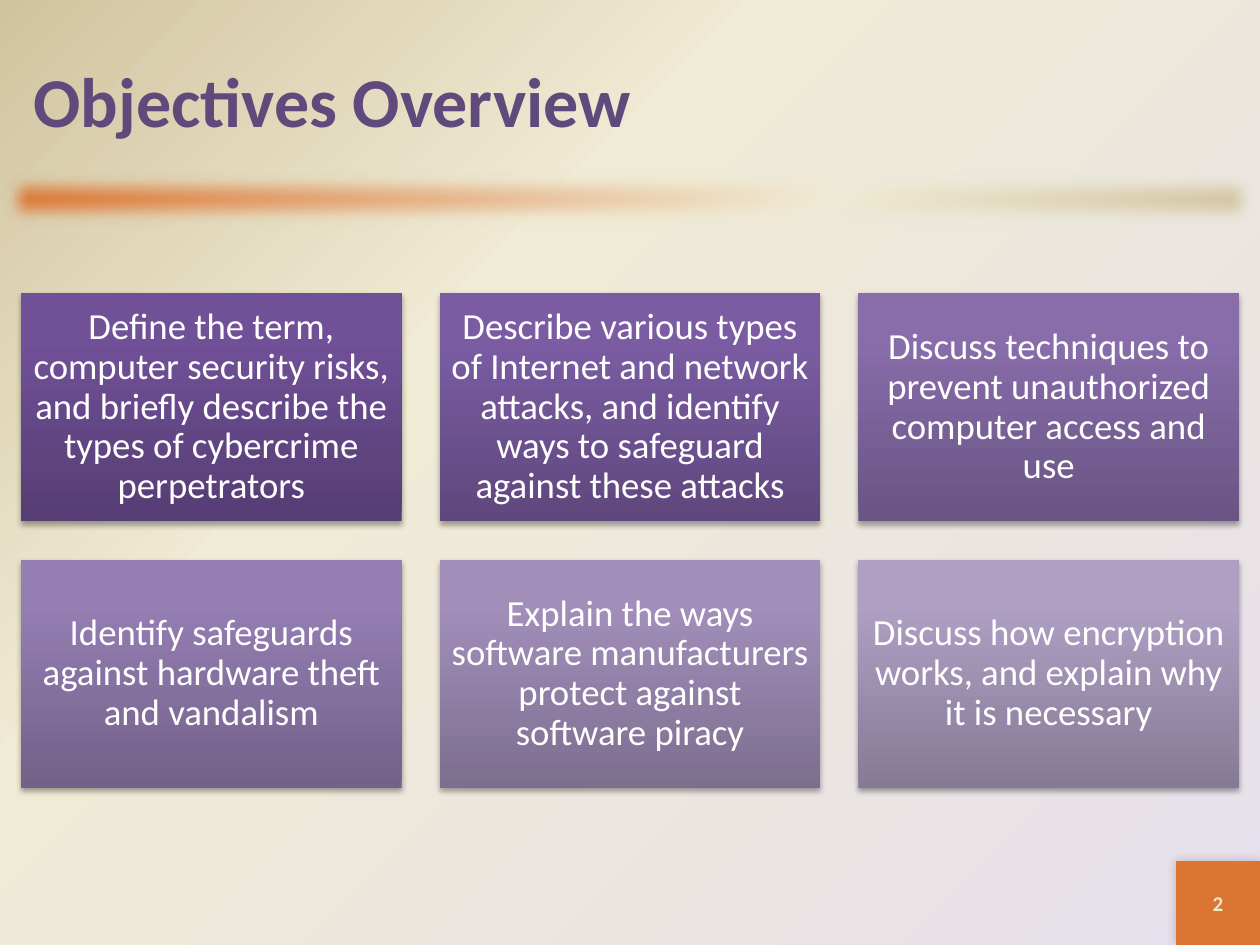
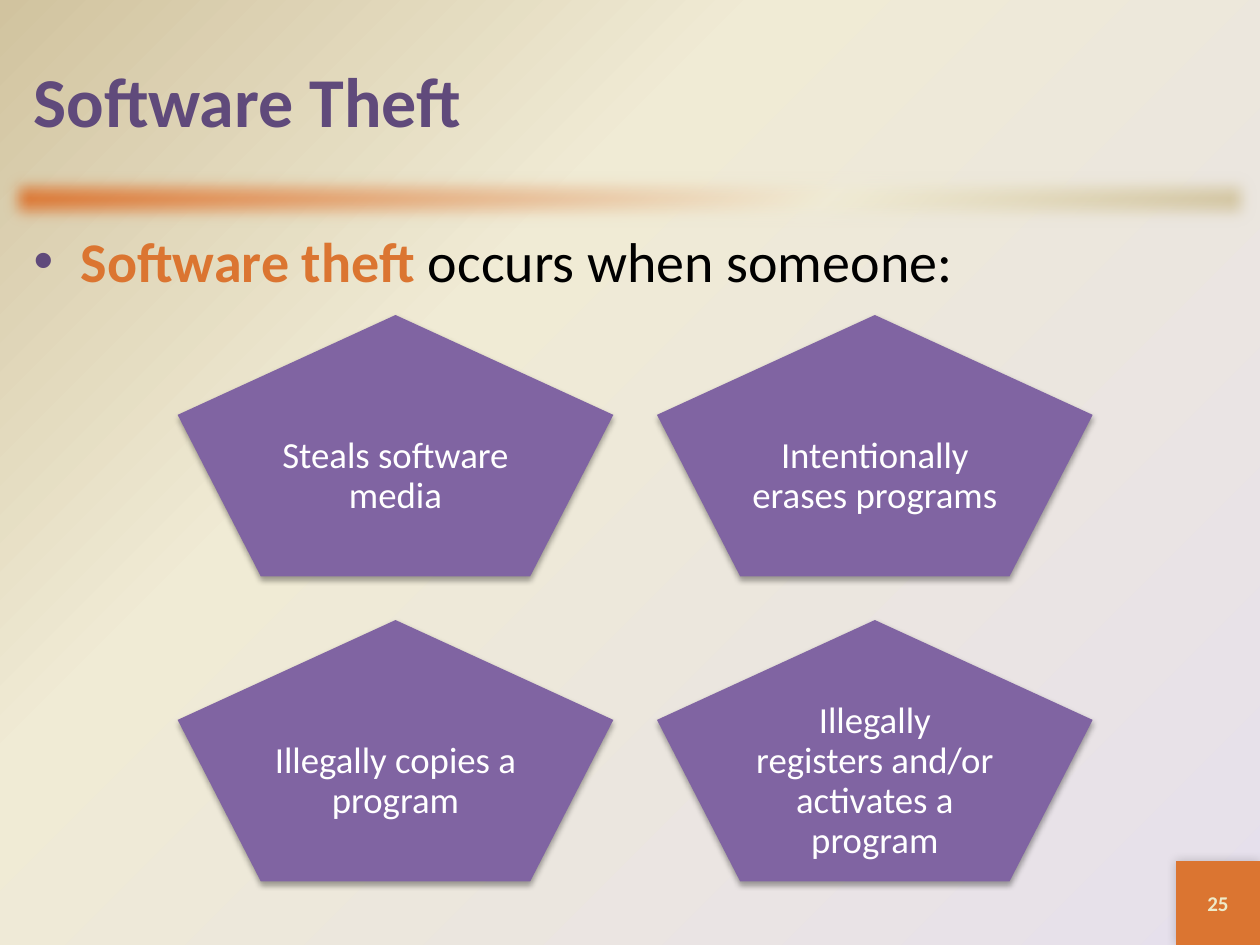
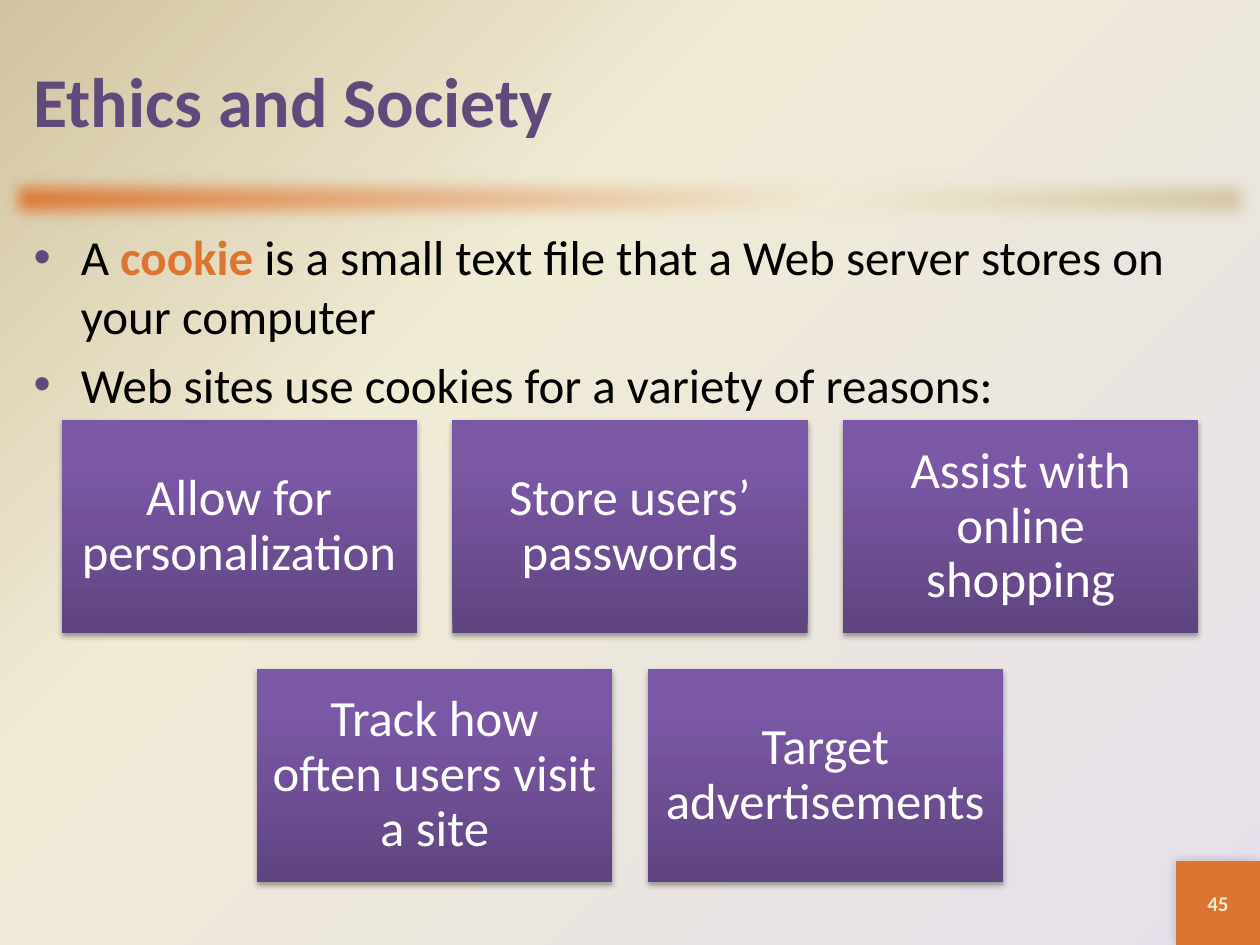
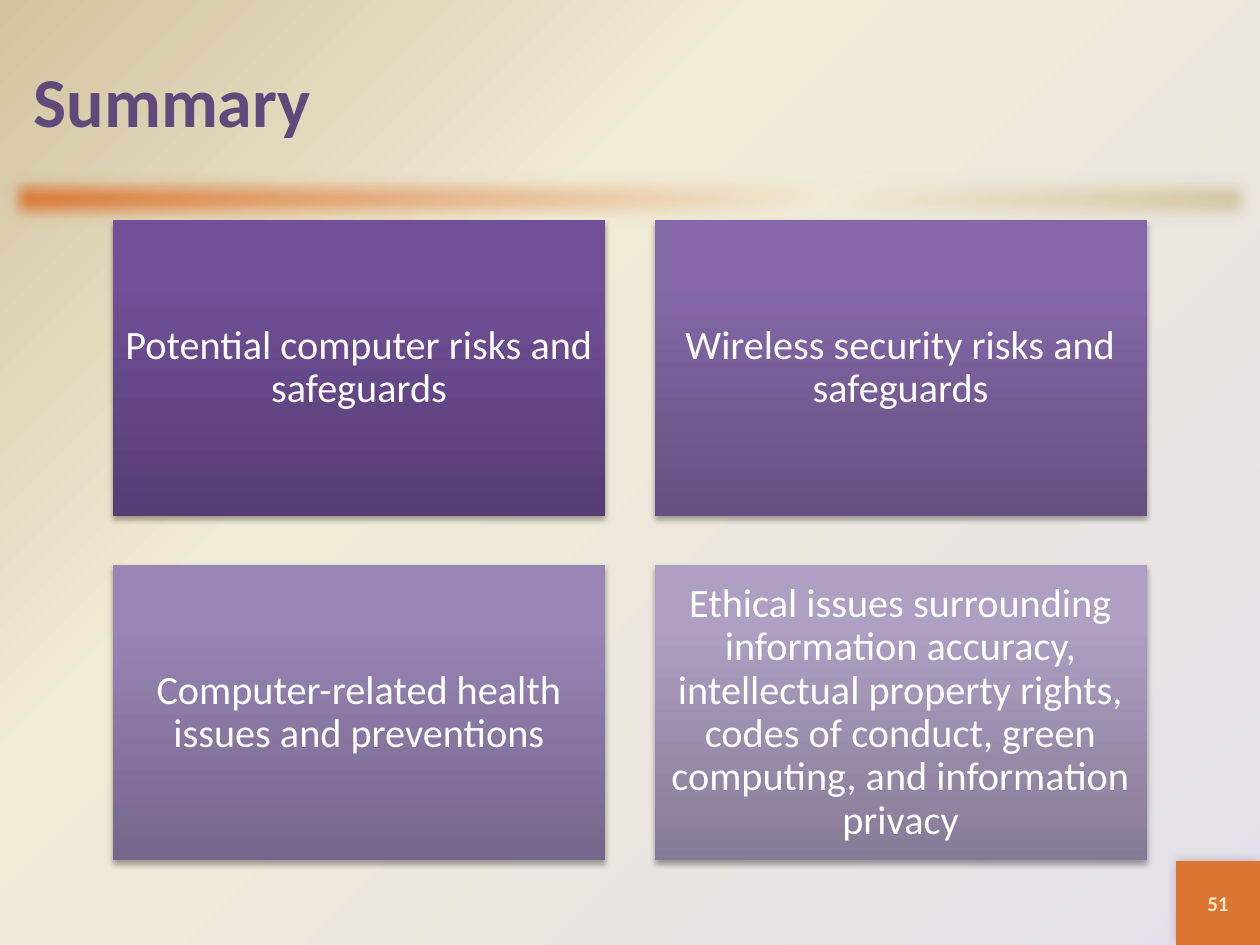
"""Build four slides on computer security from shared master parts and card grids."""

import lxml.etree
import pptx
import pptx.dml.color
import pptx.enum.shapes
import pptx.enum.text
import pptx.oxml.ns
import pptx.util

Pt = pptx.util.Pt
RGBColor = pptx.dml.color.RGBColor
MSO_SHAPE = pptx.enum.shapes.MSO_SHAPE
PP_ALIGN = pptx.enum.text.PP_ALIGN
MSO_ANCHOR = pptx.enum.text.MSO_ANCHOR
qn = pptx.oxml.ns.qn

FONT = "Calibri"
PURPLE = RGBColor(0x60, 0x4A, 0x7B)
VIOLET = RGBColor(0x80, 0x64, 0xA2)
ORANGE = RGBColor(0xDB, 0x75, 0x31)
CREAM = RGBColor(0xF0, 0xEB, 0xD5)
SAND = RGBColor(0xD1, 0xC3, 0x9F)
LAVENDER = RGBColor(0xE6, 0xE0, 0xEC)
PALE_YELLOW = RGBColor(0xEE, 0xEB, 0xCA)
WHITE = RGBColor(0xFF, 0xFF, 0xFF)
BLACK = RGBColor(0x00, 0x00, 0x00)


def tint(*stops):
    """Return the bottom, upper and top colours of a card."""
    return [RGBColor.from_string(stop) for stop in stops]


DARKEST = tint("563D74", "705097", "704F99")
LIGHTEST = tint("867B96", "AE9FC3", "AE9FC4")
OBJECTIVE_TINTS = [
    DARKEST,
    tint("5F477D", "7B5CA3", "7C5BA5"),
    tint("695483", "886DAA", "886DAC"),
    tint("726189", "947EB2", "957EB4"),
    tint("7C6E8F", "A18FBA", "A18FBC"),
    LIGHTEST,
]
COOKIE_TINT = tint("5F4480", "7B58A6", "7C57A8")
SUMMARY_TINTS = [
    DARKEST,
    tint("655081", "8468A8", "8467AA"),
    tint("75668B", "9884B5", "9984B7"),
    LIGHTEST,
]

SLIDE_WIDTH, SLIDE_HEIGHT = 720, 540
MARGIN = 12
NUMBER_SIDE = 48
CORNER = (SLIDE_WIDTH - NUMBER_SIDE, SLIDE_HEIGHT - NUMBER_SIDE, NUMBER_SIDE, NUMBER_SIDE)


def add_xml(parent, tag, **attributes):
    """Append a DrawingML child element."""
    values = {name: str(value) for name, value in attributes.items()}
    return lxml.etree.SubElement(parent, qn(f"a:{tag}"), values)


def add_color(parent, color):
    """Append an RGB colour element."""
    return add_xml(parent, "srgbClr", val=color)


def set_gradient(fill, owner, colors, middle, angle=None):
    """Give a fill three stops, linear at an angle or circling the lower right corner."""
    fill.gradient()
    gradient = owner.find(f".//{qn('a:gradFill')}")
    gradient.clear()
    gradient.set("rotWithShape", "1")
    stops = add_xml(gradient, "gsLst")
    for position, color in zip((0, middle, 100), colors):
        add_color(add_xml(stops, "gs", pos=position * 1000), color)
    if angle is None:
        circle = add_xml(gradient, "path", path="circle")
        add_xml(circle, "fillToRect", l=100000, t=100000)
        add_xml(gradient, "tileRect", r=-100000, b=-100000)
    else:
        add_xml(gradient, "lin", ang=angle * 60000, scaled=0)


def effects_of(shape):
    """Return the emptied effect list of a shape."""
    shape.shadow.inherit = False
    return shape.element.spPr.find(qn("a:effectLst"))


def add_shadow(shape, blur, distance, angle, opacity):
    """Give a shape a soft black shadow."""
    shadow = add_xml(effects_of(shape), "outerShdw", blurRad=Pt(blur), dist=Pt(distance),
                     dir=angle * 60000, algn="ctr", rotWithShape=0)
    add_xml(add_color(shadow, BLACK), "alpha", val=opacity * 1000)


def set_font(paragraph, size, color, bold=False):
    """Format all the text of a paragraph."""
    paragraph.font.name = FONT
    paragraph.font.size = Pt(size)
    paragraph.font.bold = bold
    paragraph.font.color.rgb = color


def place(shape, left, top, width, height):
    """Move and size a shape in points."""
    shape.left, shape.top, shape.width, shape.height = map(Pt, (left, top, width, height))


def add_outline(slide, kind, *box):
    """Add a preset shape without a line."""
    shape = slide.shapes.add_shape(kind, *map(Pt, box))
    shape.line.fill.background()
    return shape


def decorate_master(master, slide):
    """Set the background and move the title band and number square to the master."""
    set_gradient(master.background.fill, master.element, (LAVENDER, CREAM, SAND), 65)

    band = add_outline(slide, MSO_SHAPE.RECTANGLE, 0, 96, SLIDE_WIDTH, 36)
    set_gradient(band.fill, band.element, (ORANGE, CREAM, SAND), 65, 45)
    add_xml(effects_of(band), "softEdge", rad=Pt(10))

    square = add_outline(slide, MSO_SHAPE.RECTANGLE, *CORNER)
    square.fill.solid()
    square.fill.fore_color.rgb = ORANGE
    add_shadow(square, 6, 0, 225, 20)

    for position, part in enumerate((band, square)):
        part.element.nvSpPr.cNvPr.set("id", str(20 + position))
        master.shapes.element.insert(2 + position, part.element)


def add_slide(deck, title, number, with_body=False):
    """Add a slide with its title and slide number."""
    slide = deck.slides.add_slide(deck.slide_layouts[1 if with_body else 5])
    heading = slide.shapes.title
    place(heading, MARGIN, MARGIN, SLIDE_WIDTH - 2 * MARGIN, 90)
    heading.text_frame.text = title
    heading.text_frame.vertical_anchor = MSO_ANCHOR.MIDDLE
    paragraph = heading.text_frame.paragraphs[0]
    paragraph.alignment = PP_ALIGN.LEFT
    set_font(paragraph, 40, PURPLE, True)

    page = slide.shapes.add_textbox(*map(Pt, CORNER)).text_frame
    page.word_wrap = True
    page.vertical_anchor = MSO_ANCHOR.MIDDLE
    page.text = str(number)
    page.paragraphs[0].alignment = PP_ALIGN.CENTER
    set_font(page.paragraphs[0], 12, PALE_YELLOW, True)
    return slide


def fill_body(slide, points, size):
    """Write bullets, each as text before a key term, the term, and text after it."""
    body = slide.placeholders[1]
    place(body, MARGIN, 126, SLIDE_WIDTH - 2 * MARGIN, 366)
    frame = body.text_frame
    for index, (before, term, after) in enumerate(points):
        paragraph = frame.add_paragraph() if index else frame.paragraphs[0]
        properties = paragraph._p.get_or_add_pPr()
        add_color(add_xml(properties, "buClr"), PURPLE)
        add_xml(properties, "buChar", char="•")
        set_font(paragraph, size, BLACK)
        for text in filter(None, (before, term, after)):
            run = paragraph.add_run()
            run.text = text
            if text == term:
                run.font.bold = True
                run.font.color.rgb = ORANGE


def add_card(slide, kind, box, text, size, colors):
    """Add a shadowed card with centred white text."""
    card = add_outline(slide, kind, *box)
    if isinstance(colors, RGBColor):
        card.fill.solid()
        card.fill.fore_color.rgb = colors
    else:
        set_gradient(card.fill, card.element, colors, 80, 270)
    add_shadow(card, 3.15, 1.8, 90, 35)
    frame = card.text_frame
    frame.word_wrap = True
    frame.vertical_anchor = MSO_ANCHOR.MIDDLE
    inset = Pt(0.3 * size)
    frame.margin_left = frame.margin_right = frame.margin_top = frame.margin_bottom = inset
    frame.text = text
    paragraph = frame.paragraphs[0]
    paragraph.alignment = PP_ALIGN.CENTER
    paragraph.line_spacing = 0.9
    set_font(paragraph, size, WHITE)


def add_cards(slide, texts, tints, columns, width, top, size,
              kind=MSO_SHAPE.RECTANGLE, center=SLIDE_WIDTH / 2):
    """Lay cards out in centred rows, with height and gap in proportion to width."""
    height, gap = 0.6 * width, 0.1 * width
    for index, (text, colors) in enumerate(zip(texts, tints)):
        row, column = divmod(index, columns)
        in_row = min(columns, len(texts) - row * columns)
        left = center - (in_row * (width + gap) - gap) / 2 + column * (width + gap)
        box = (left, top + row * (height + gap), width, height)
        add_card(slide, kind, box, text, size, colors)


def main():
    """Build and save the deck."""
    deck = pptx.Presentation()
    deck.slide_width, deck.slide_height = Pt(SLIDE_WIDTH), Pt(SLIDE_HEIGHT)

    objectives = add_slide(deck, "Objectives Overview", 2)
    decorate_master(deck.slide_master, objectives)
    add_cards(objectives, [
        "Define the term, computer security risks, and briefly describe the types of "
        "cybercrime perpetrators",
        "Describe various types of Internet and network attacks, and identify ways to "
        "safeguard against these attacks",
        "Discuss techniques to prevent unauthorized computer access and use",
        "Identify safeguards against hardware theft and vandalism",
        "Explain the ways software manufacturers protect against software piracy",
        "Discuss how encryption works, and explain why it is necessary",
    ], OBJECTIVE_TINTS, columns=3, width=217.5, top=167.5, size=21)

    theft = add_slide(deck, "Software Theft", 25, with_body=True)
    fill_body(theft, [("", "Software theft", " occurs when someone:")], 32)
    add_cards(theft, [
        "Steals software media",
        "Intentionally erases programs",
        "Illegally copies a program",
        "Illegally registers and/or activates a program",
    ], [VIOLET] * 4, columns=2, width=249, top=180, size=21,
        kind=MSO_SHAPE.REGULAR_PENTAGON, center=363)

    ethics = add_slide(deck, "Ethics and Society", 45, with_body=True)
    fill_body(ethics, [
        ("A ", "cookie", " is a small text file that a Web server stores on your computer"),
        ("Web sites use cookies for a variety of reasons:", "", ""),
    ], 28)
    add_cards(ethics, [
        "Allow for personalization",
        "Store users’ passwords",
        "Assist with online shopping",
        "Track how often users visit a site",
        "Target advertisements",
    ], [COOKIE_TINT] * 5, columns=3, width=203, top=240, size=29)

    summary = add_slide(deck, "Summary", 51)
    add_cards(summary, [
        "Potential computer risks and safeguards",
        "Wireless security risks and safeguards",
        "Computer-related health issues and preventions",
        "Ethical issues surrounding information accuracy, intellectual property rights, "
        "codes of conduct, green computing, and information privacy",
    ], SUMMARY_TINTS, columns=2, width=281.3, top=126, size=23)

    deck.save("out.pptx")


if __name__ == "__main__":
    main()
